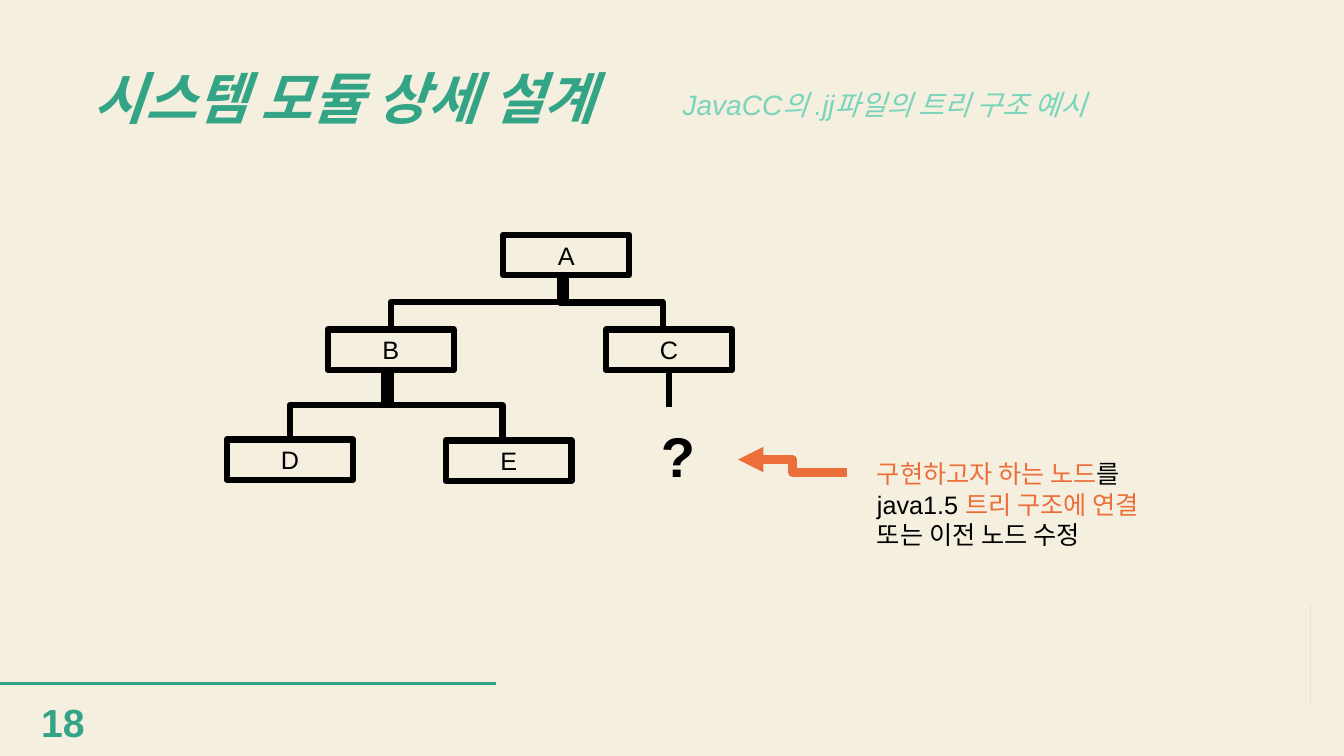
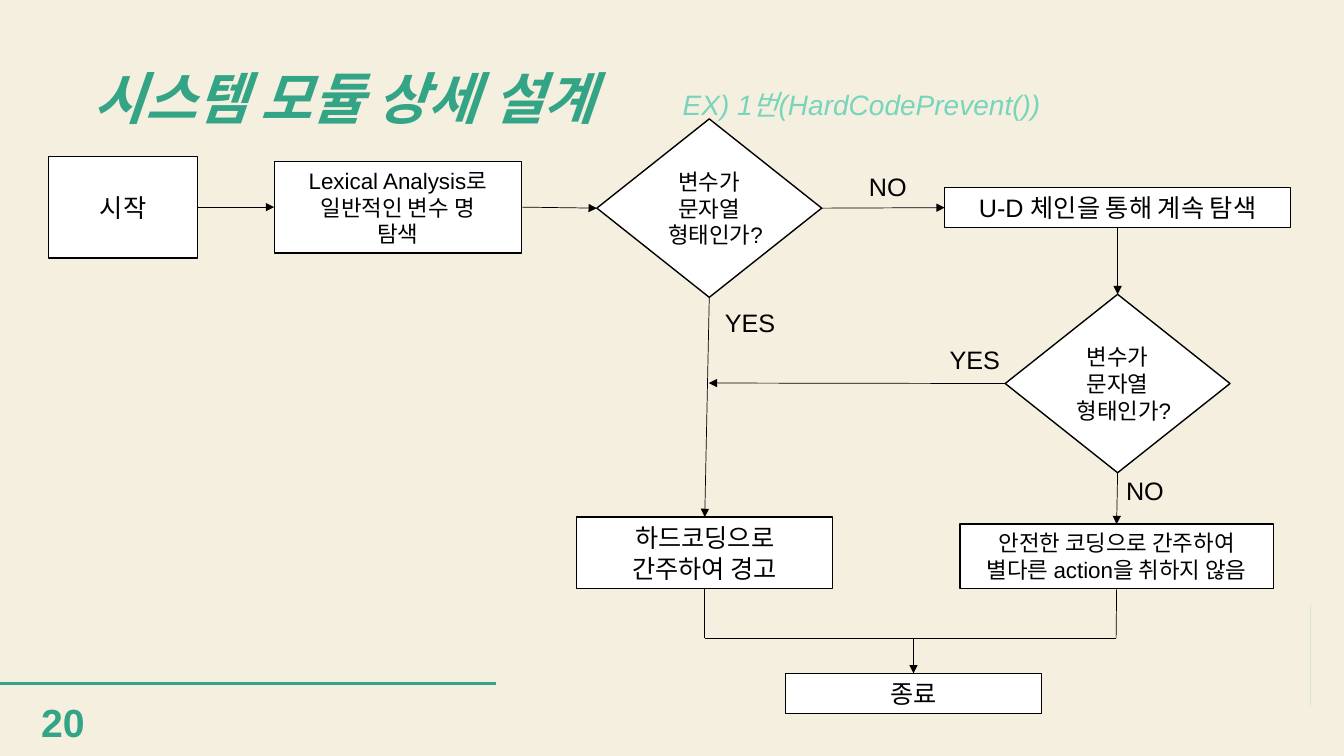
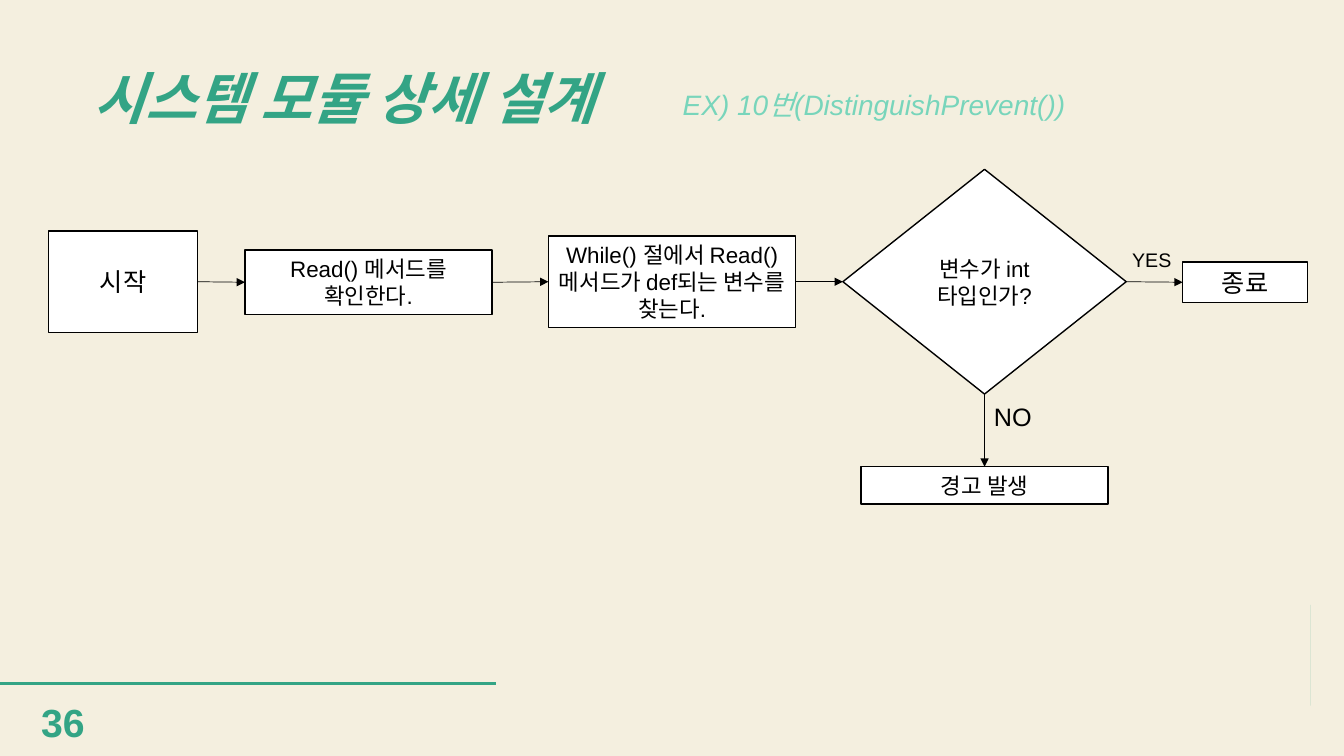
from math import cos, pi, sin

from lxml.etree import SubElement
from pptx import Presentation
from pptx.dml.color import RGBColor
from pptx.enum.shapes import MSO_CONNECTOR, MSO_SHAPE
from pptx.enum.text import MSO_ANCHOR, MSO_AUTO_SIZE, PP_ALIGN
from pptx.oxml.ns import qn
from pptx.util import Inches, Pt

W, H = 13.33, 7.5
FONT = "Arial"
COLORS = {"paper": "F4EFDF", "green": "33A485", "mint": "78D5BB",
          "orange": "EC6E39", "black": "000000", "white": "FFFFFF"}
TITLE = "시스템 모듈 상세 설계"
TITLE_BOX = (0.83, 0.61, 5.7, 0.79)
SUBTITLE_BOX = (6.67, 0.82, 6.66, 0.59)
BAND_Y = 6.78
RADIUS = 0.45

NODE_W, NODE_H = 1.25, 0.4
TREE_NODES = {"A": (4.99, 2.33), "B": (3.25, 3.27), "C": (6.01, 3.27),
              "D": (2.25, 4.36), "E": (4.42, 4.37)}
TREE_LINKS = [("A", "B", 0), ("A", "C", -0.06), ("B", "E", -0.06), ("B", "D", 0)]
CALLOUT = [
    [("구현하고자 하는 노드", "orange"), ("를", "black")],
    [("java1.5 ", "black"), ("트리 구조에 연결", "orange")],
    [("또는 이전 노드 수정", "black")],
]

BOX, DIAMOND = MSO_SHAPE.RECTANGLE, MSO_SHAPE.DIAMOND
QUESTION = "변수가 문자열 형태인가?"
FLOWS = [
    {
        "number": "20",
        "subtitle": "EX) 1번(HardCodePrevent())",
        "nodes": {
            "start": (BOX, (0.48, 1.55, 1.48, 1.01), "시작", 18),
            "lexical": (BOX, (2.72, 1.6, 2.45, 0.91),
                        "Lexical Analysis로\n일반적인 변수 명\n탐색", 16),
            "first": (DIAMOND, (5.92, 1.18, 2.23, 1.77), QUESTION, 16),
            "chain": (BOX, (9.37, 1.86, 3.43, 0.4), "U-D 체인을 통해 계속 탐색", 18),
            "second": (DIAMOND, (9.97, 2.92, 2.23, 1.77), QUESTION, 16),
            "warn": (BOX, (5.72, 5.13, 2.54, 0.71), "하드코딩으로 간주하여 경고", 18),
            "safe": (BOX, (9.52, 5.2, 3.11, 0.64),
                     "안전한 코딩으로 간주하여\n별다른 action을 취하지 않음", 16),
            "end": (BOX, (7.79, 6.68, 2.54, 0.4), "종료", 18),
        },
        "arrows": [("start right", "lexical left"), ("lexical right", "first left"),
                   ("first right", "chain left"), ("chain bottom", "second top"),
                   ("first bottom", "warn top"), ("second bottom", "safe top"),
                   ("second left", (7.03, 3.8)), ((9.06, 6.33), "end top")],
        "lines": [("warn bottom", (6.99, 6.33)), ("safe bottom", (11.07, 6.33)),
                  ((6.99, 6.33), (11.07, 6.33))],
        "labels": [("NO", (8.52, 1.65, 0.61, 0.4), 18), ("YES", (7.09, 3, 0.76, 0.4), 18),
                   ("YES", (9.32, 3.37, 0.76, 0.4), 18), ("NO", (11.07, 4.67, 0.61, 0.4), 18)],
    },
    {
        "number": "36",
        "subtitle": "EX) 10번(DistinguishPrevent())",
        "nodes": {
            "start": (BOX, (0.48, 2.29, 1.48, 1.01), "시작", 18),
            "read": (BOX, (2.43, 2.48, 2.45, 0.64), "Read() 메서드를 확인한다.", 16),
            "loop": (BOX, (5.44, 2.34, 2.45, 0.91),
                     "While() 절에서 Read() 메서드가 def되는 변수를 찾는다.", 16),
            "check": (DIAMOND, (8.36, 1.68, 2.81, 2.23), "변수가 int 타입인가?", 16),
            "warn": (BOX, (8.54, 4.63, 2.45, 0.37), "경고 발생", 16),
            "end": (BOX, (11.73, 2.6, 1.24, 0.4), "종료", 18),
        },
        "arrows": [("start right", "read left"), ("read right", "loop left"),
                   ("loop right", "check left"), ("check right", "end left"),
                   ("check bottom", "warn top")],
        "lines": [],
        "labels": [("NO", (9.76, 3.93, 0.61, 0.4), 18), ("YES", (11.13, 2.41, 0.61, 0.34), 14)],
    },
]


def rgb(name):
    return RGBColor.from_string(COLORS[name])


def inches(values):
    return [Inches(v) for v in values]


def style(tf, size, color="black", align=PP_ALIGN.LEFT, bold=False, italic=False):
    for p in tf.paragraphs:
        p.alignment = align
        font = p.font
        font.name, font.size, font.bold, font.italic = FONT, Pt(size), bold, italic
        font.color.rgb = rgb(color)


def add_text(s, text, box, size, **look):
    tf = s.shapes.add_textbox(*inches(box)).text_frame
    tf.word_wrap = True
    tf.text = text
    style(tf, size, **look)
    return tf


def add_node(s, kind, box, text, size, fill="white", weight=1):
    sp = s.shapes.add_shape(kind, *inches(box))
    sp.shadow.inherit = False
    if fill:
        sp.fill.solid()
        sp.fill.fore_color.rgb = rgb(fill)
    else:
        sp.fill.background()
    sp.line.color.rgb = rgb("black")
    sp.line.width = Pt(weight)
    tf = sp.text_frame
    tf.word_wrap = True
    tf.vertical_anchor = MSO_ANCHOR.MIDDLE
    tf.text = text
    style(tf, size, align=PP_ALIGN.CENTER)


def add_line(s, start, end, weight, color="black", arrow=False, kind=MSO_CONNECTOR.STRAIGHT):
    line = s.shapes.add_connector(kind, *inches((*start, *end)))
    line.line.color.rgb = rgb(color)
    line.line.width = Pt(weight)
    props = line.element.spPr
    if arrow:
        SubElement(props.find(qn("a:ln")), qn("a:tailEnd"), type="triangle")
    SubElement(props, qn("a:effectLst"))
    return line


def add_branch(s, start, end, weight):
    (x1, y1), (x2, y2) = start, end
    cx, cy, dx, dy = (x1 + x2) / 2, (y1 + y2) / 2, x2 - x1, y2 - y1
    line = add_line(s, (cx - dy / 2, cy + dx / 2), (cx + dy / 2, cy - dx / 2),
                    weight, kind=MSO_CONNECTOR.ELBOW)
    line.element.spPr.find(qn("a:xfrm")).set("rot", str(90 * 60000))


def side(box, name):
    x, y, w, h = box
    return {"left": (x, y + h / 2), "right": (x + w, y + h / 2),
            "top": (x + w / 2, y), "bottom": (x + w / 2, y + h)}[name]


def set_layout(layout, s):
    layout.background.fill.solid()
    layout.background.fill.fore_color.rgb = rgb("paper")
    for ph, box in zip(layout.placeholders, (TITLE_BOX, SUBTITLE_BOX)):
        ph.left, ph.top, ph.width, ph.height = inches(box)
    cy = BAND_Y - RADIUS
    arc = [(W - RADIUS * sin(pi * i / 48), cy - RADIUS * cos(pi * i / 48)) for i in range(49)]
    builder = s.shapes.build_freeform(*arc[0], scale=Inches(1))
    builder.add_line_segments(arc[1:], close=True)
    dome = builder.convert_to_shape()
    dome.shadow.inherit = False
    dome.fill.solid()
    dome.fill.fore_color.rgb = rgb("green")
    dome.line.fill.background()
    band = add_line(s, (0, BAND_Y), (4.92, BAND_Y), 2, "green")
    for part in (dome, band):
        layout.shapes.element.append(part.element)


def add_slide(prs, layout, number, subtitle):
    s = prs.slides.add_slide(layout)
    title, body = s.placeholders
    title.text_frame.text = TITLE
    title.text_frame.vertical_anchor = MSO_ANCHOR.MIDDLE
    title.text_frame.paragraphs[0].line_spacing = 0.9
    body.text_frame.text = subtitle
    p = body.text_frame.paragraphs[0]
    p.space_before = Pt(0)
    props = p._p.get_or_add_pPr()
    props.set("marL", "0")
    props.set("indent", "0")
    SubElement(props, qn("a:buNone"))
    for ph in (title, body):
        ph.text_frame.auto_size = MSO_AUTO_SIZE.NONE
    style(title.text_frame, 40, "green", bold=True, italic=True)
    style(body.text_frame, 20, "mint", italic=True)
    add_text(s, number, (0.31, 6.88, 0.74, 0.57), 28, color="green", bold=True)
    return s


def draw_tree(s):
    boxes = {name: (*at, NODE_W, NODE_H) for name, at in TREE_NODES.items()}
    for name, box in boxes.items():
        add_node(s, BOX, box, name, 18, fill=None, weight=4.5)
    for parent, child, shift in TREE_LINKS:
        x, y = side(boxes[parent], "bottom")
        cx, cy = side(boxes[child], "top")
        add_branch(s, (x + shift, y), (cx + shift, cy), 4.5)
    x, y = side(boxes["C"], "bottom")
    add_line(s, (x, y), (x, y + 0.37), 4.5)
    add_text(s, "?", (6.33, 4.13, 0.79, 0.77), 40, align=PP_ALIGN.CENTER, bold=True)
    add_line(s, (8.4, 4.69), (7.32, 4.56), 6, "orange", True, MSO_CONNECTOR.ELBOW)
    tf = add_text(s, "", (8.6, 4.5, 3.1, 1.01), 18)
    for i, runs in enumerate(CALLOUT):
        p = tf.add_paragraph() if i else tf.paragraphs[0]
        for text, color in runs:
            r = p.add_run()
            r.text = text
            r.font.color.rgb = rgb(color)
    style(tf, 18)


def draw_flow(s, flow):
    def point(ref):
        if isinstance(ref, tuple):
            return ref
        name, edge = ref.split()
        return side(flow["nodes"][name][1], edge)

    for node in flow["nodes"].values():
        add_node(s, *node)
    for group in ("arrows", "lines"):
        for start, end in flow[group]:
            add_line(s, point(start), point(end), 0.5, arrow=group == "arrows")
    for label in flow["labels"]:
        add_text(s, *label)


def main():
    prs = Presentation()
    prs.slide_width, prs.slide_height = Inches(W), Inches(H)
    layout = prs.slide_layouts[1]
    s = add_slide(prs, layout, "18", "JavaCC의 .jj파일의 트리 구조 예시")
    set_layout(layout, s)
    draw_tree(s)
    for flow in FLOWS:
        draw_flow(add_slide(prs, layout, flow["number"], flow["subtitle"]), flow)
    prs.save("out.pptx")


if __name__ == "__main__":
    main()
